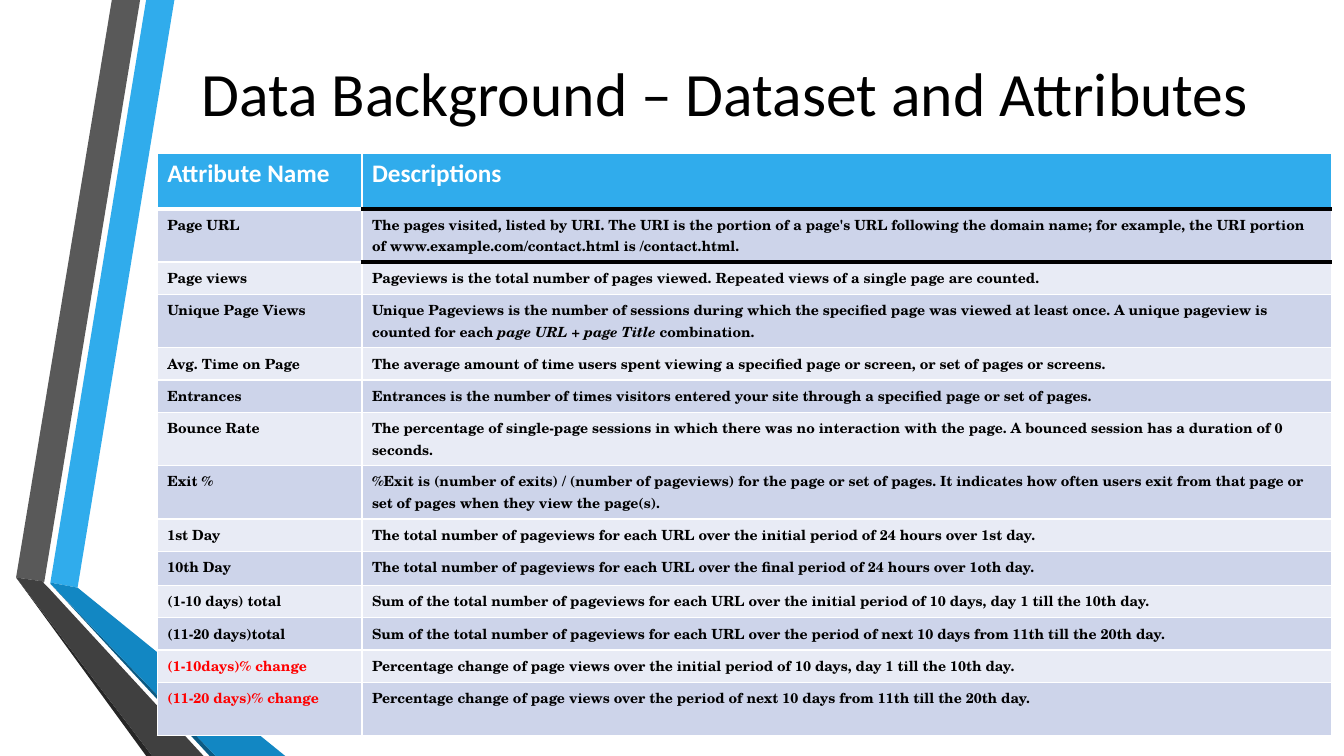
from lxml.etree import SubElement as Sub
from pptx import Presentation
from pptx.dml.color import RGBColor as Rgb
from pptx.enum.text import MSO_ANCHOR as Anchor
from pptx.oxml.ns import qn
from pptx.util import Inches, Pt

BLUE, PALE, MIST = "30ACEC", "CDD4EA", "E8EBF5"
WHITE, BLACK, RED = "FFFFFF", "000000", "FF0000"
SANS, SERIF = "Calibri", "TeX Gyre Schola"

BANDS = [
    (BLUE, [(0.5, 5.78), (0.77, 5.83), (1.73, 0), (1.45, 0)]),
    ("595959", [(1.39, 0), (1.11, 0), (0.16, 5.73), (0.44, 5.77)]),
    ("262626", [(0.16, 5.73), (1.45, 7.5), (1.51, 7.5)]),
    ("0C5A82", [(0.5, 5.79), (2.08, 7.5), (2.14, 7.5)]),
    ("1287C3", [(0.5, 5.79), (2.14, 7.5), (2.83, 7.5), (0.77, 5.83), (0.5, 5.78)]),
    ("404040", [(2.02, 7.5), (0.48, 5.83), (0.43, 5.78), (0.44, 5.77),
                (0.16, 5.73), (1.51, 7.5)]),
]

ROWS = [
    (0.55, "Attribute Name", ["Descriptions"]),
    (0.53, "Page URL", [
        "The pages visited, listed by URI. The URI is the portion of a page's URL "
        "following the domain name; for example, the URI portion of "
        "www.example.com/contact.html is /contact.html."]),
    (0.32, "Page views", [
        "Pageviews is the total number of pages viewed. "
        "Repeated views of a single page are counted."]),
    (0.53, "Unique Page Views", [
        "Unique Pageviews is the number of sessions during which the specified page "
        "was viewed at least once. A unique pageview is counted for each ",
        "page URL + page Title", " combination."]),
    (0.32, "Avg. Time on Page", [
        "The average amount of time users spent viewing a specified page or screen, "
        "or set of pages or screens."]),
    (0.32, "Entrances", [
        "Entrances is the number of times visitors entered your site through a "
        "specified page or set of pages."]),
    (0.53, "Bounce Rate", [
        "The percentage of single-page sessions in which there was no interaction "
        "with the page. A bounced session has a duration of 0 seconds."]),
    (0.53, "Exit %", [
        "%Exit is (number of exits) / (number of pageviews) for the page or set of "
        "pages. It indicates how often users exit from that page or set of pages "
        "when they view the page(s)."]),
    (0.32, "1st Day", [
        "The total number of pageviews for each URL over the initial period of "
        "24 hours over 1st day."]),
    (0.34, "10th Day", [
        "The total number of pageviews for each URL over the final period of "
        "24 hours over 1oth day."]),
    (0.32, "(1-10 days) total", [
        "Sum of the total number of pageviews for each URL over the initial period "
        "of 10 days, day 1 till the 10th day."]),
    (0.32, "(11-20 days)total", [
        "Sum of the total number of pageviews for each URL over the period of next "
        "10 days from 11th till the 20th day."]),
    (0.32, "(1-10days)% change", [
        "Percentage change of page views over the initial period of 10 days, "
        "day 1 till the 10th day."]),
    (0.53, "(11-20 days)% change", [
        "Percentage change of page views over the period of next 10 days from "
        "11th till the 20th day."]),
]


def paint(color, code):
    """Give a fill or font colour format a hex colour."""
    color.rgb = Rgb.from_string(code)


def write(para, text, size=10, face=SERIF, code=BLACK, bold=True, slant=False):
    """Add one formatted run to a paragraph."""
    run = para.add_run()
    run.text = text
    font = run.font
    font.size, font.name, font.bold, font.italic = Pt(size), face, bold, slant
    paint(font.color, code)


def band(slide, code, dots):
    """Draw one filled outline of the side ribbon."""
    pen = slide.shapes.build_freeform(*[Inches(v) for v in dots[0]])
    pen.add_line_segments([(Inches(x), Inches(y)) for x, y in dots[1:]], close=True)
    shape = pen.convert_to_shape()
    shape.shadow.inherit = False
    shape.fill.solid()
    paint(shape.fill.fore_color, code)
    shape.line.fill.background()


def title(slide, text):
    """Add the slide heading."""
    box = slide.shapes.add_textbox(Inches(1.9), Inches(0), Inches(10.96), Inches(1.92))
    frame = box.text_frame
    frame.word_wrap = True
    frame.vertical_anchor = Anchor.MIDDLE
    para = frame.paragraphs[0]
    para.line_spacing = 0.9
    write(para, text, size=44, face=SANS, bold=False)


def edge(cell, side, code=WHITE, width=1):
    """Set one border of a cell."""
    line = Sub(cell._tc.get_or_add_tcPr(), qn("a:ln" + side), w=str(Pt(width)))
    Sub(Sub(line, qn("a:solidFill")), qn("a:srgbClr"), val=code)


def frame(cell, row, col):
    """Set all borders of a cell, with heavy rules around the first entry."""
    edge(cell, "L")
    edge(cell, "R")
    rule = BLACK if col else WHITE
    for side, line in (("T", row), ("B", row + 1)):
        heavy = line == 1 or (line == 2 and col)
        edge(cell, side, rule if heavy else WHITE, 3 if heavy else 1)


def grid(slide):
    """Add the table of attributes and descriptions."""
    high = sum(row[0] for row in ROWS)
    table = slide.shapes.add_table(
        len(ROWS), 2, Inches(1.56), Inches(1.52), Inches(11.65), Inches(high)).table
    for col, width in enumerate((2.03, 9.62)):
        table.columns[col].width = Inches(width)
    for row, (tall, name, about) in enumerate(ROWS):
        table.rows[row].height = Inches(tall)
        for col, parts in enumerate(([name], about)):
            cell = table.cell(row, col)
            frame(cell, row, col)
            cell.fill.solid()
            paint(cell.fill.fore_color, (PALE if row % 2 else MIST) if row else BLUE)
            if row == 0:
                style = {"size": 18, "face": SANS, "code": WHITE}
            else:
                style = {"code": RED if "% change" in parts[0] else BLACK}
            for spot, part in enumerate(parts):
                write(cell.text_frame.paragraphs[0], part, slant=spot == 1, **style)


def main():
    """Build and save the slide."""
    deck = Presentation()
    deck.slide_width, deck.slide_height = Inches(13.33), Inches(7.5)
    slide = deck.slides.add_slide(deck.slide_layouts[6])
    for code, dots in BANDS:
        band(slide, code, dots)
    title(slide, "Data Background – Dataset and Attributes")
    grid(slide)
    deck.save("out.pptx")


if __name__ == "__main__":
    main()
